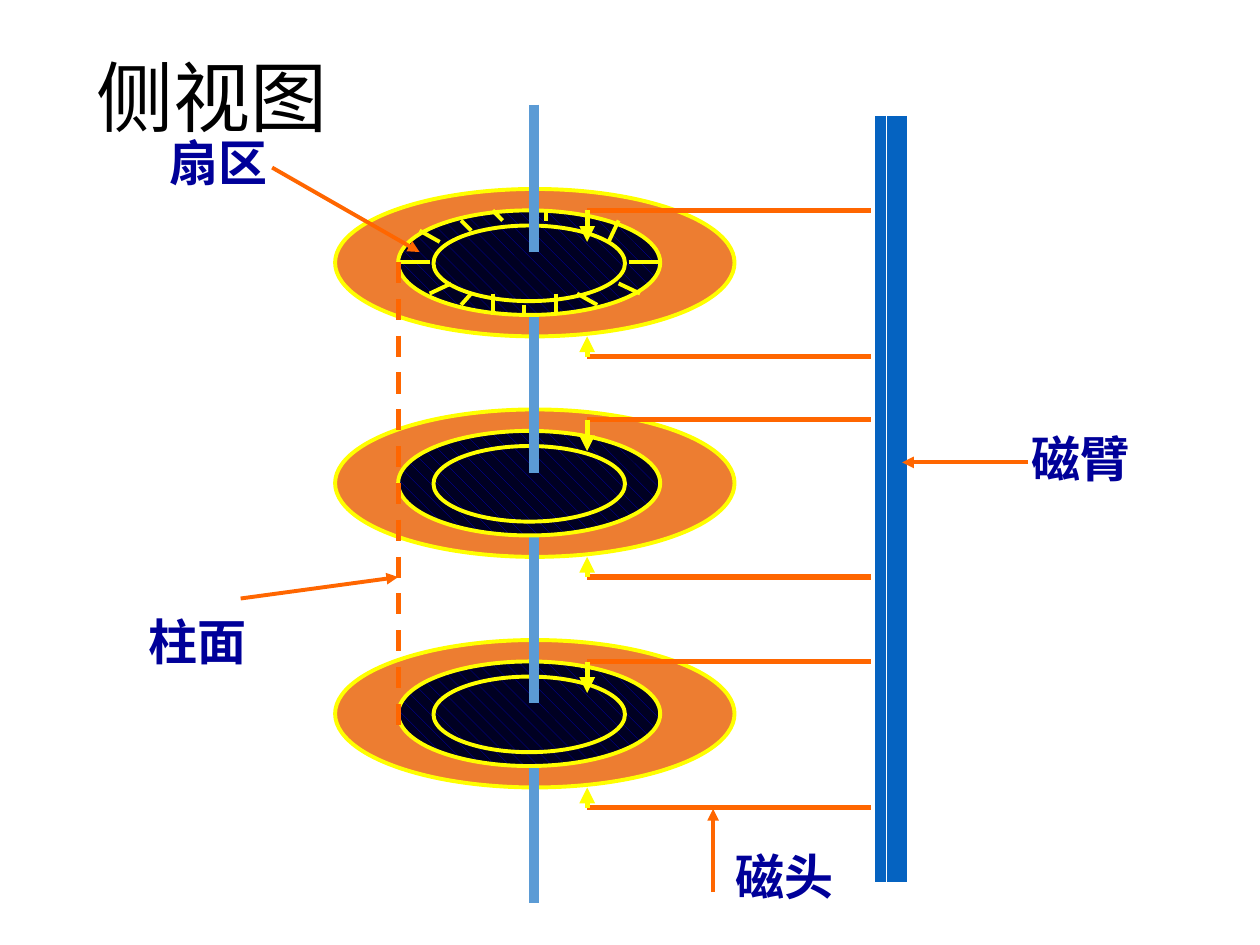
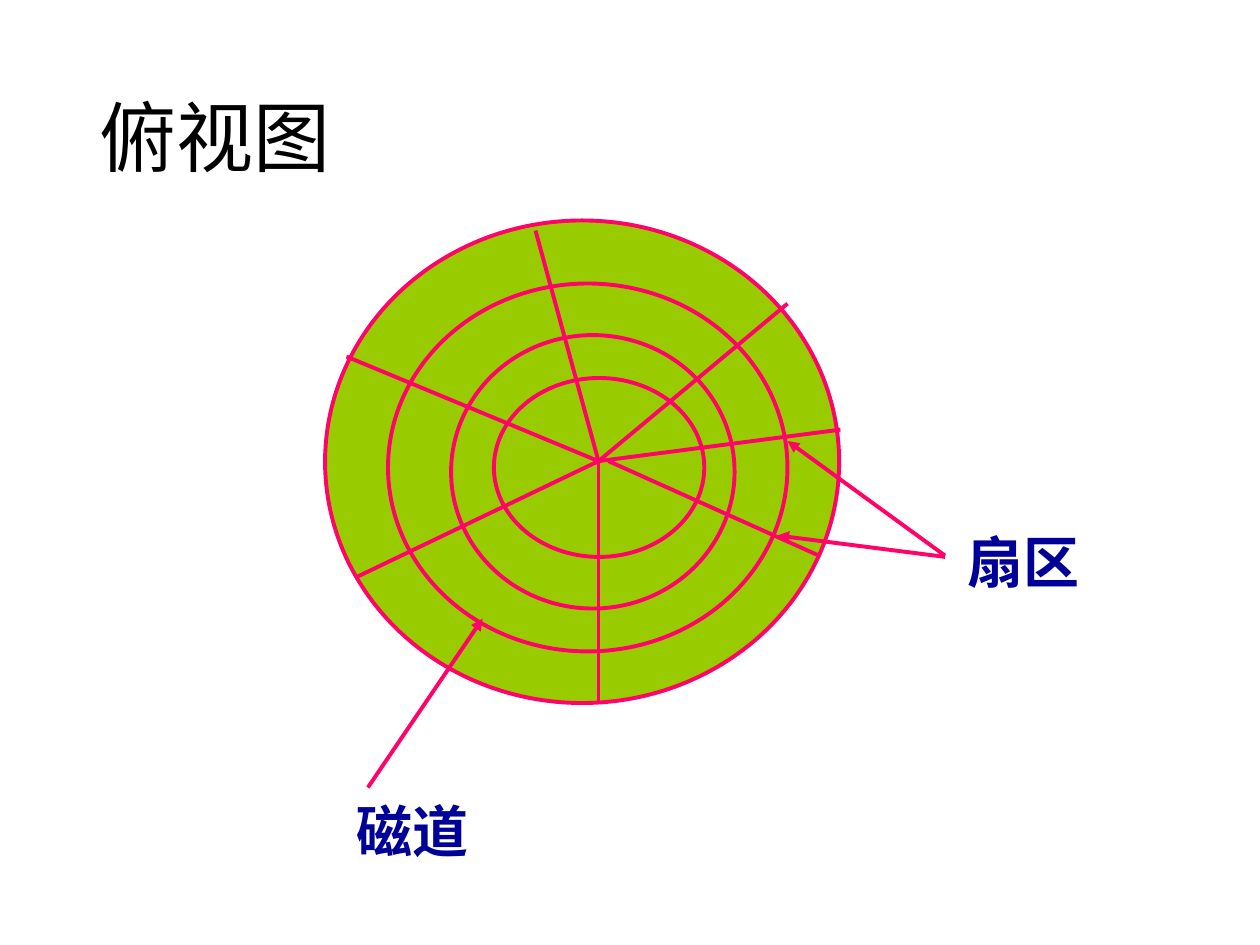
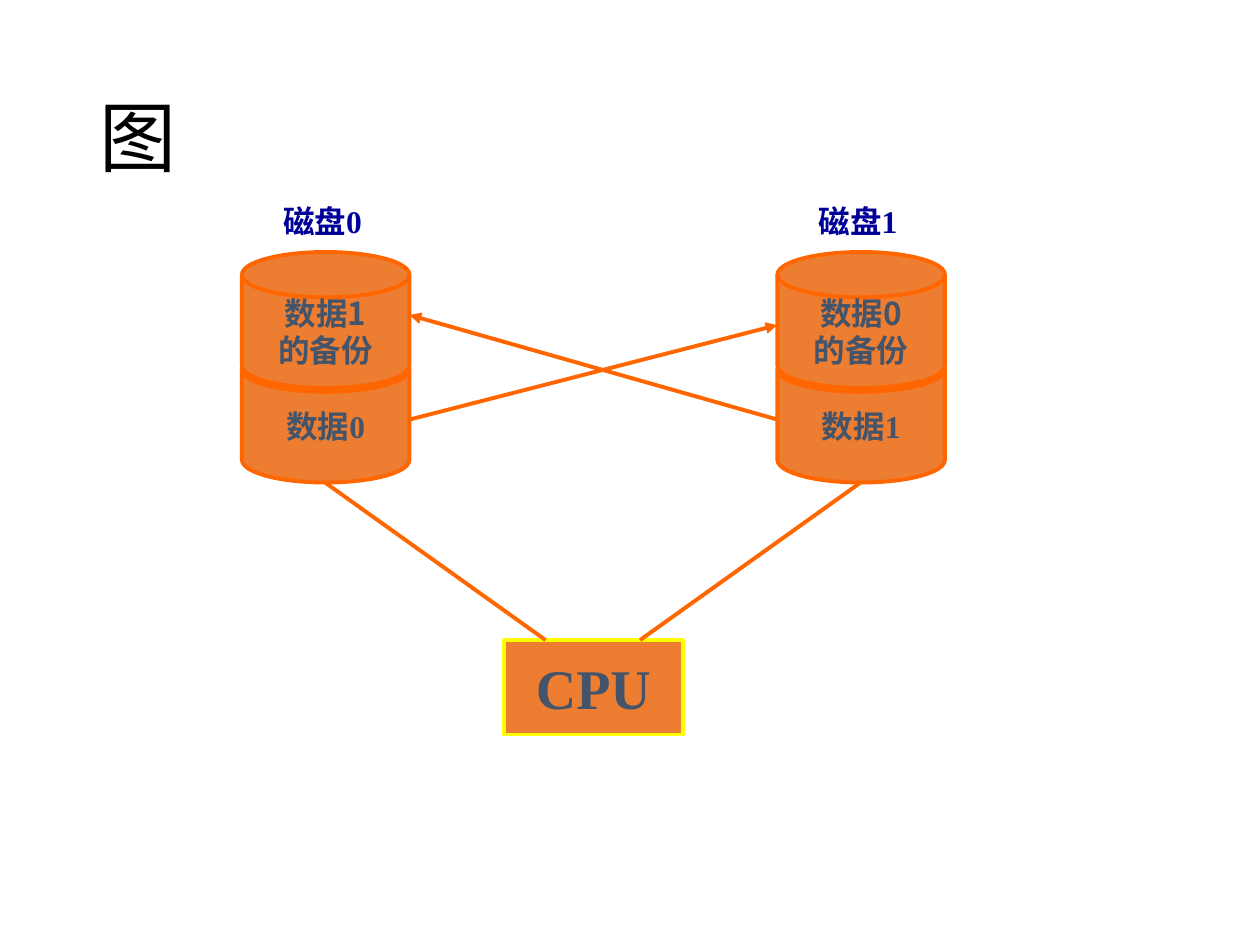
"""Build three slides on disk structure: side view, top view and mirrored disks."""
from lxml import etree
from pptx import Presentation
from pptx.dml.color import RGBColor
from pptx.enum.dml import MSO_LINE, MSO_PATTERN
from pptx.enum.shapes import MSO_CONNECTOR, MSO_SHAPE
from pptx.enum.text import MSO_ANCHOR, MSO_AUTO_SIZE, PP_ALIGN
from pptx.oxml.ns import qn
from pptx.util import Pt

OVAL, RECT, DISK = MSO_SHAPE.OVAL, MSO_SHAPE.RECTANGLE, MSO_SHAPE.FLOWCHART_MAGNETIC_DISK
STRAIGHT, DASH, SHINGLE = MSO_CONNECTOR.STRAIGHT, MSO_LINE.DASH, MSO_PATTERN.SHINGLE
MIDDLE, GROW = MSO_ANCHOR.MIDDLE, MSO_AUTO_SIZE.SHAPE_TO_FIT_TEXT
LEFT, CENTER = PP_ALIGN.LEFT, PP_ALIGN.CENTER

PX = 9144
ORANGE, RED, YELLOW, PINK = "ED7D31", "FF6600", "FFFF00", "FF0369"
BLUE, LINK, NAVY, SLATE, BLACK = "5B9BD5", "0563C1", "000099", "44546A", "000000"
GREEN, DARK, STRIPE = "99CC00", "000022", "0000D0"
CJK, ROMAN = "Noto Sans CJK SC", "Times New Roman"

TITLE = {"name": "Calibri", "size": Pt(44), "bold": False}
LABEL = {"name": ROMAN, "size": Pt(28), "bold": True}
BIG = {**LABEL, "size": Pt(32)}
SMALL = {**LABEL, "size": Pt(18)}
COPY = {**SMALL, "name": CJK}

color = RGBColor.from_string


def put(slide, kind, box, text="", form=LABEL, ink=NAVY, align=CENTER, fill=ORANGE, edge=YELLOW):
    """Add a shape, or a text box when kind is None, and style its text."""
    spot = [n * PX for n in box]
    if kind is None:
        item = slide.shapes.add_textbox(*spot)
    else:
        item = slide.shapes.add_shape(kind, *spot)
        item.shadow.inherit = False
        if fill == STRIPE:
            item.fill.patterned()
            item.fill.pattern = SHINGLE
            item.fill.fore_color.rgb = color(STRIPE)
            item.fill.back_color.rgb = color(DARK)
        else:
            item.fill.solid()
            item.fill.fore_color.rgb = color(fill)
        item.line.color.rgb = color(edge)
        item.line.width = Pt(2.25)
    if text:
        frame = item.text_frame
        frame.text = text
        frame.vertical_anchor = MIDDLE
        frame.word_wrap = form is TITLE
        if kind is None and form is not TITLE:
            frame.auto_size = GROW
        for para in frame.paragraphs:
            para.alignment = align
            if form is TITLE:
                para.line_spacing = 0.9
            for run in para.runs:
                run.font.color.rgb = color(ink)
                for key, value in form.items():
                    setattr(run.font, key, value)
                east = etree.SubElement(run._r.get_or_add_rPr(), qn("a:ea"))
                east.set("typeface", CJK)


def link(slide, ends, ink, width=2.25, head=False, dash=None):
    """Add a straight line through x1, y1, x2, y2, with an optional arrowhead."""
    line = slide.shapes.add_connector(STRAIGHT, *[n * PX for n in ends])
    line.line.color.rgb = color(ink)
    line.line.width = Pt(width)
    if dash:
        line.line.dash_style = dash
    if head:
        tail = etree.SubElement(line.line._get_or_add_ln(), qn("a:tailEnd"))
        tail.set("type", "triangle")
    etree.SubElement(line._element.spPr, qn("a:effectLst"))


deck = Presentation()
deck.slide_width, deck.slide_height = 1000 * PX, 750 * PX
side, top, pair = [deck.slides.add_slide(deck.slide_layouts[6]) for _ in range(3)]
for slide, text, box in [
    (side, "侧视图", (67, 33, 850, 96)),
    (top, "俯视图", (69, 40, 862, 145)),
    (pair, "图", (69, 40, 862, 145)),
]:
    put(slide, None, box, text, TITLE, BLACK, LEFT)

# Side view
disks = [(150, 167), (325, 333), (508, 525)]
for y, arm in disks:
    put(side, OVAL, (266, y, 317, 117))
link(side, (424, 83, 424, 717), BLUE, 6)
for x in (699, 708, 716):
    link(side, (x, 92, x, 700), LINK, 6)
for y, arm in disks:
    put(side, OVAL, (316, y + 17, 208, 83), fill=STRIPE)
    put(side, OVAL, (344, y + 29, 152, 60), fill=STRIPE)
    for start, tip in [(arm, arm + 25), (y + 133, y + 117)]:
        link(side, (691, start, 466, start), RED, 3)
        link(side, (466, start, 466, tip), YELLOW, 3, True)
    link(side, (424, y + 8, 424, y + 50), BLUE, 6)

for mark in [
    (341, 208, 316, 208), (358, 225, 341, 233), (349, 192, 333, 183),
    (374, 183, 366, 175), (374, 233, 366, 242), (391, 233, 391, 250),
    (416, 242, 416, 250), (441, 233, 441, 250), (458, 233, 474, 242),
    (491, 225, 508, 233), (499, 208, 524, 208), (483, 192, 491, 175),
    (391, 167, 399, 175), (433, 167, 433, 175),
]:
    link(side, mark, YELLOW)
link(side, (316, 208, 316, 575), RED, 3, dash=DASH)
for text, x, y, ends in [
    ("柱面", 108, 480, (191, 475, 316, 458)),
    ("扇区", 125, 100, (216, 133, 333, 200)),
    ("磁臂", 809, 335, (816, 367, 716, 367)),
    ("磁头", 574, 667, (566, 708, 566, 642)),
]:
    link(side, ends, RED, head=True)
    put(side, None, (x, y, 98, 57), text, align=LEFT)

# Top view
for ring in [(258, 175, 408, 383), (308, 225, 317, 292), (358, 266, 225, 217), (392, 300, 167, 142)]:
    put(top, OVAL, ring, fill=GREEN, edge=PINK)
for x, y in [(625, 241), (475, 558), (283, 458), (425, 183), (275, 283), (667, 341)]:
    link(top, (475, 366, x, y), PINK)
link(top, (483, 366, 650, 441), PINK)
for ends in [(292, 625, 383, 491), (750, 441, 625, 350), (750, 442, 617, 425)]:
    link(top, ends, PINK, head=True)
for text, x, y in [("磁道", 273, 627), ("扇区", 758, 414)]:
    put(top, None, (x, y, 110, 63), text, BIG, align=LEFT)

# Mirrored disks
for num, x in enumerate((192, 617)):
    put(pair, DISK, (x, 275, 133, 108), f"数据{num}", SMALL, SLATE, edge=RED)
    put(pair, DISK, (x, 200, 133, 108), f"数据{1 - num}\n的备份", COPY, SLATE, edge=RED)
    put(pair, None, (x + 12, 150, 104, 50), f"磁盘{num}", SMALL)
put(pair, RECT, (400, 508, 142, 75), "CPU", BIG, SLATE)
for ends, head in [
    ((617, 333, 325, 250), True), ((325, 333, 617, 258), True),
    ((433, 508, 258, 383), False), ((508, 508, 683, 383), False),
]:
    link(pair, ends, RED, head=head)

deck.save("out.pptx")
